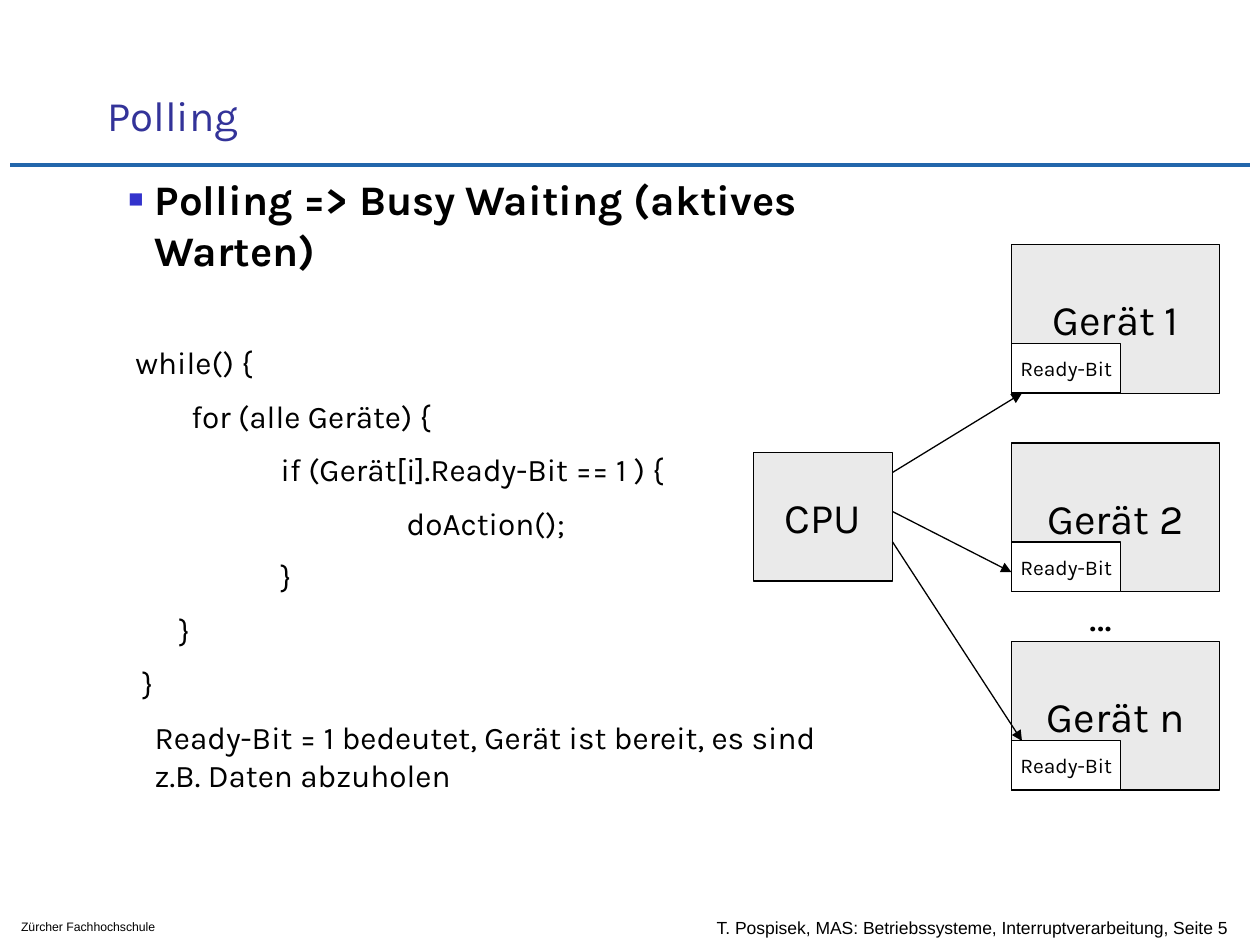
from lxml.etree import SubElement
from pptx import Presentation
from pptx.dml.color import RGBColor
from pptx.enum.shapes import MSO_CONNECTOR, MSO_SHAPE
from pptx.enum.text import MSO_ANCHOR as Anchor, MSO_AUTO_SIZE as AutoSize, PP_ALIGN as Align
from pptx.oxml.ns import qn
from pptx.util import Pt

BLACK = RGBColor(0x00, 0x00, 0x00)
WHITE = RGBColor(0xFF, 0xFF, 0xFF)
GREY = RGBColor(0xEA, 0xEA, 0xEA)
TITLE_BLUE = RGBColor(0x33, 0x33, 0x99)
RULE_BLUE = RGBColor(0x22, 0x66, 0xAB)
BULLET_BLUE = "3333CC"

HEADING = "Polling => Busy Waiting (aktives Warten)"
CODE_LINES = [  # text, indent in points
    ("while() {", 4),
    ("for (alle Geräte) {", 36),
    ("if (Gerät[i].Ready-Bit == 1 ) {", 87),
    ("doAction();", 159),
    ("}", 87),
    ("}", 29),
    ("}", 8),
]
EXPLANATION = "Ready-Bit = 1 bedeutet, Gerät ist bereit, es sind z.B. Daten abzuholen"
HANGING = 15

DEVICES = ["Gerät 1", "Gerät 2", "Gerät n"]
DEVICE_LEFT, DEVICE_TOP, DEVICE_PITCH = 578, 139.7, 113.4
DEVICE_WIDTH, DEVICE_HEIGHT = 119, 85
READY_WIDTH, READY_HEIGHT = 62.5, 28.3
CPU_LEFT, CPU_WIDTH = 430.5, 79.5
CPU_RIGHT = CPU_LEFT + CPU_WIDTH
ARROWS = [  # start height at the CPU, end point at the device
    (270, 584, 224.7),
    (292.3, DEVICE_LEFT, 327),
    (309.6, 584, 423.4),
]


def place(shape, left, top, width, height):
    shape.left, shape.top, shape.width, shape.height = map(Pt, (left, top, width, height))


def style(paragraph, size, color=BLACK, name="Karla", bold=False):
    font = paragraph.font
    font.size, font.name, font.bold = Pt(size), name, bold
    font.color.rgb = color


def set_indent(paragraph, left, first_line=0):
    properties = paragraph._p.get_or_add_pPr()
    properties.set("marL", str(Pt(left)))
    properties.set("indent", str(Pt(first_line)))
    return properties


def add_square_bullet(paragraph):
    properties = set_indent(paragraph, HANGING, -HANGING)
    SubElement(SubElement(properties, qn("a:buClr")), qn("a:srgbClr"), val=BULLET_BLUE)
    SubElement(properties, qn("a:buSzPct"), val="60000")
    SubElement(properties, qn("a:buChar"), char="■")


def fill_title(title):
    place(title, 54, 23.8, 613.4, 59.8)
    frame = title.text_frame
    frame.auto_size = AutoSize.NONE
    frame.vertical_anchor = Anchor.BOTTOM
    frame.text = "Polling"
    frame.paragraphs[0].alignment = Align.LEFT
    style(frame.paragraphs[0], 24, TITLE_BLUE)


def fill_body(body):
    place(body, 66.2, 95.8, 419, 384)
    frame = body.text_frame
    frame.auto_size = AutoSize.NONE
    frame.vertical_anchor = Anchor.TOP
    heading = frame.paragraphs[0]
    heading.text = HEADING
    add_square_bullet(heading)
    heading.space_before = Pt(0)
    style(heading, 24, bold=True)

    for row, (text, indent) in enumerate(CODE_LINES + [(EXPLANATION, HANGING)]):
        paragraph = frame.add_paragraph()
        paragraph.text = text
        SubElement(set_indent(paragraph, indent), qn("a:buNone"))
        paragraph.space_before = Pt(9 if row else 39)
        style(paragraph, 18)


def add_label(slide, text, bounds, size, name="Karla", align=Align.LEFT, anchor=Anchor.TOP):
    label = slide.shapes.add_textbox(*map(Pt, bounds))
    frame = label.text_frame
    frame.word_wrap = False
    frame.vertical_anchor = anchor
    frame.text = text
    frame.paragraphs[0].alignment = align
    style(frame.paragraphs[0], size, name=name)


def add_box(slide, text, bounds, size, fill):
    box = slide.shapes.add_shape(MSO_SHAPE.RECTANGLE, *map(Pt, bounds))
    box.shadow.inherit = False
    box.fill.solid()
    box.fill.fore_color.rgb = fill
    box.line.color.rgb = BLACK
    box.line.width = Pt(0.75)
    frame = box.text_frame
    frame.word_wrap = False
    frame.vertical_anchor = Anchor.MIDDLE
    frame.text = text
    frame.paragraphs[0].alignment = Align.CENTER
    style(frame.paragraphs[0], size)


def add_device(slide, name, top):
    """Add a device with its Ready-Bit in the lower left corner."""
    add_box(slide, name, (DEVICE_LEFT, top, DEVICE_WIDTH, DEVICE_HEIGHT), 24, GREY)
    ready_top = top + DEVICE_HEIGHT - READY_HEIGHT
    add_box(slide, "Ready-Bit", (DEVICE_LEFT, ready_top, READY_WIDTH, READY_HEIGHT), 12, WHITE)


def add_line(slide, ends, color, width, arrow=False):
    line = slide.shapes.add_connector(MSO_CONNECTOR.STRAIGHT, *map(Pt, ends))
    line.line.color.rgb = color
    line.line.width = Pt(width)
    if arrow:
        SubElement(line.line._get_or_add_ln(), qn("a:tailEnd"), type="triangle")
    SubElement(line._element.spPr, qn("a:effectLst"))


def main():
    presentation = Presentation()
    presentation.slide_width, presentation.slide_height = Pt(720), Pt(540)
    slide = presentation.slides.add_slide(presentation.slide_layouts[1])

    add_line(slide, (5.8, 94.3, 714.2, 94.3), RULE_BLUE, 2.5)
    add_label(slide, "T. Pospisek, MAS: Betriebssysteme, Interruptverarbeitung, Seite 5",
              (402.5, 520.5, 310, 19.5), 10, "Arial", anchor=Anchor.MIDDLE)
    add_label(slide, "Zürcher Fachhochschule", (5, 522, 124, 16), 7, "Arial")
    fill_title(slide.shapes.title)
    fill_body(slide.placeholders[1])

    add_box(slide, "CPU", (CPU_LEFT, 258.5, CPU_WIDTH, 73.5), 24, GREY)
    for row, name in enumerate(DEVICES):
        add_device(slide, name, DEVICE_TOP + row * DEVICE_PITCH)
    for start_y, end_x, end_y in ARROWS:
        add_line(slide, (CPU_RIGHT, start_y, end_x, end_y), BLACK, 0.75, arrow=True)
    add_label(slide, "…", (612.7, 333.4, 33, 36), 24, align=Align.CENTER)

    presentation.save("out.pptx")


if __name__ == "__main__":
    main()
